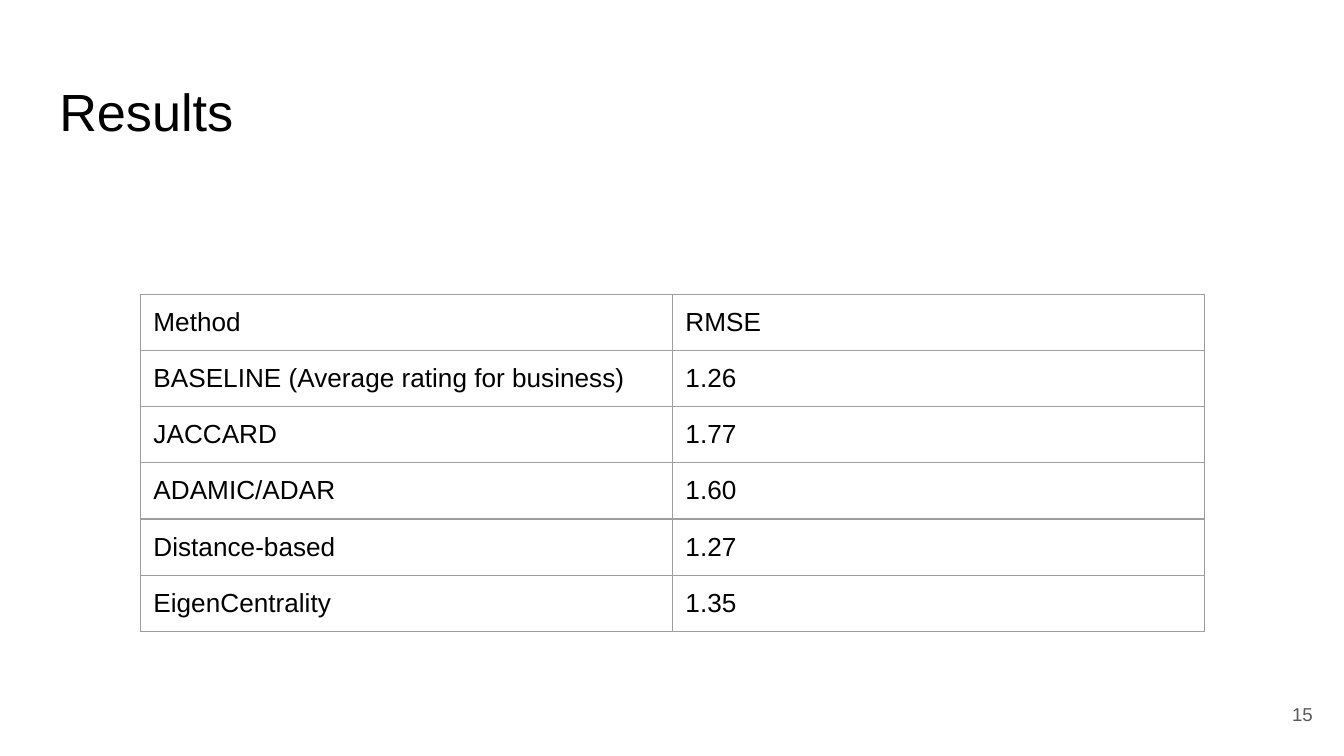
from lxml.etree import SubElement
from pptx import Presentation
from pptx.dml.color import RGBColor
from pptx.enum.text import MSO_ANCHOR, PP_ALIGN
from pptx.oxml.ns import qn
from pptx.util import Cm, Pt

BLACK = RGBColor(0x00, 0x00, 0x00)
GRAY = RGBColor(0x59, 0x59, 0x59)
BORDER = RGBColor(0x9E, 0x9E, 0x9E)
FONT = "Arial"
INSET = Cm(0.25)
RESULTS = [
    ("Method", "RMSE"),
    ("BASELINE (Average rating for business)", "1.26"),
    ("JACCARD", "1.77"),
    ("ADAMIC/ADAR", "1.60"),
    ("Distance-based", "1.27"),
    ("EigenCentrality", "1.35"),
]


def write(frame, text, size, color, align=PP_ALIGN.LEFT):
    """Write one formatted run into the first paragraph of a frame."""
    para = frame.paragraphs[0]
    para.alignment = align
    span = para.add_run()
    span.text = text
    span.font.name = FONT
    span.font.size = Pt(size)
    span.font.color.rgb = color


def set_insets(target):
    """Give a text frame or table cell equal insets on all sides."""
    target.margin_left = target.margin_right = INSET
    target.margin_top = target.margin_bottom = INSET


def set_borders(cell):
    """Draw a thin line on every side of a cell."""
    properties = cell._tc.get_or_add_tcPr()
    for position, side in enumerate(("lnL", "lnR", "lnT", "lnB")):
        line = SubElement(properties, qn(f"a:{side}"), w=str(Pt(0.75)))
        fill = SubElement(line, qn("a:solidFill"))
        SubElement(fill, qn("a:srgbClr"), val=str(BORDER))
        properties.insert(position, line)


def place_title(page, text, left, top, width, height):
    """Place the slide title in the given box."""
    box = page.shapes.title
    box.left, box.top, box.width, box.height = left, top, width, height
    frame = box.text_frame
    frame.word_wrap = True
    frame.vertical_anchor = MSO_ANCHOR.TOP
    set_insets(frame)
    write(frame, text, 28, BLACK)


def place_results(page, rows, left, top, width, height):
    """Place the bordered results table in the given box."""
    table = page.shapes.add_table(
        len(rows), len(rows[0]), left, top, width, height
    ).table
    table.first_row = False
    table.horz_banding = False
    for row_index, values in enumerate(rows):
        for column_index, value in enumerate(values):
            cell = table.cell(row_index, column_index)
            cell.fill.background()
            cell.vertical_anchor = MSO_ANCHOR.TOP
            set_insets(cell)
            set_borders(cell)
            write(cell.text_frame, value, 14, BLACK)


def place_page_number(page, text, left, top, width, height):
    """Place the right-aligned page number in the given box."""
    frame = page.shapes.add_textbox(left, top, width, height).text_frame
    frame.word_wrap = True
    frame.vertical_anchor = MSO_ANCHOR.MIDDLE
    set_insets(frame)
    write(frame, text, 10, GRAY, PP_ALIGN.RIGHT)


def build_deck():
    """Build and save the results slide."""
    deck = Presentation()
    deck.slide_width, deck.slide_height = Cm(25.4), Cm(14.29)
    page = deck.slides.add_slide(deck.slide_layouts[5])
    place_title(page, "Results", Cm(0.87), Cm(1.24), Cm(23.67), Cm(1.6))
    place_results(page, RESULTS, Cm(2.65), Cm(5.56), Cm(20.11), Cm(6.38))
    place_page_number(page, "15", Cm(23.54), Cm(12.95), Cm(1.52), Cm(1.09))
    deck.save("out.pptx")


build_deck()
